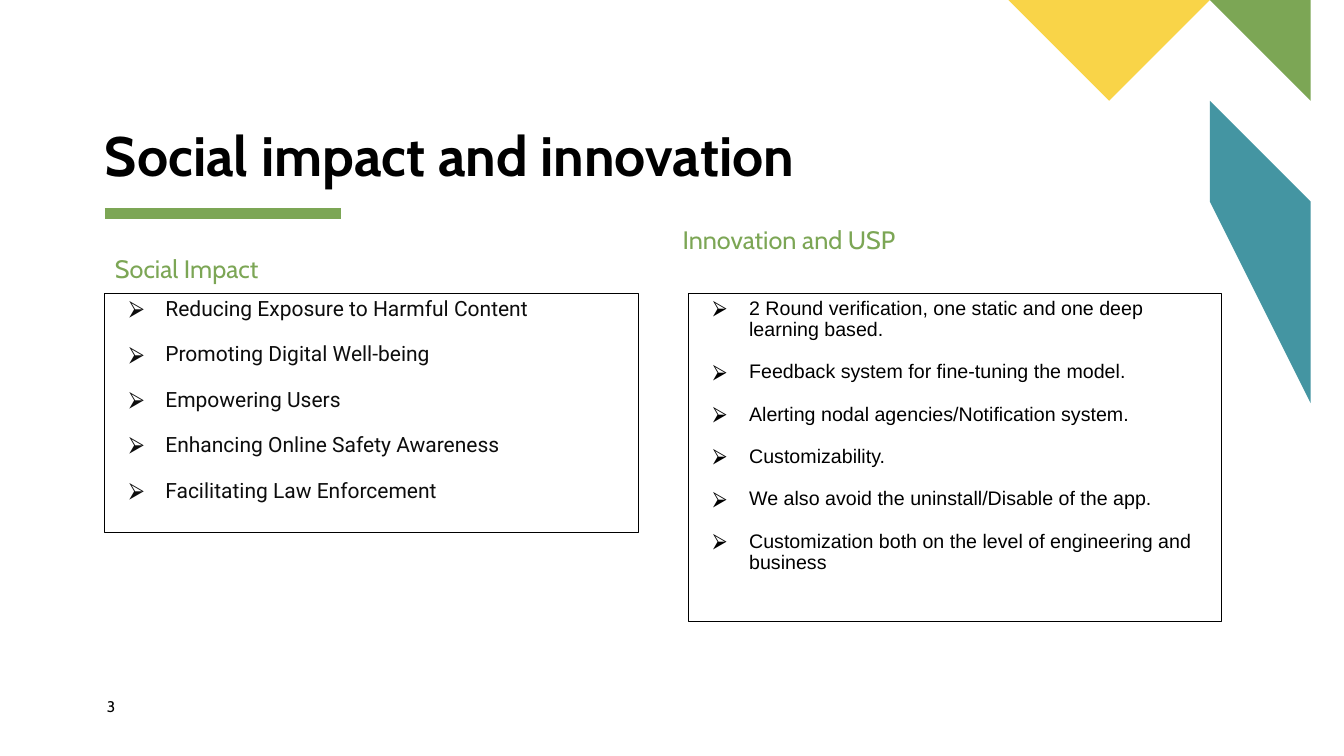
from lxml import etree
from pptx import Presentation
from pptx.dml.color import RGBColor
from pptx.enum.shapes import MSO_CONNECTOR
from pptx.enum.text import MSO_ANCHOR, MSO_AUTO_SIZE, PP_ALIGN
from pptx.oxml.ns import qn
from pptx.util import Inches, Pt

STRAIGHT = MSO_CONNECTOR.STRAIGHT
TOP, BOTTOM = MSO_ANCHOR.TOP, MSO_ANCHOR.BOTTOM
NO_AUTOFIT = MSO_AUTO_SIZE.NONE
LEFT = PP_ALIGN.LEFT

COLORS = {
    "black": "000000",
    "ink": "0D0D0D",
    "green": "7CA655",
    "teal": "4495A2",
    "yellow": "F9D448",
}
INSETS = (0.1, 0.05)


def color(name):
    return RGBColor.from_string(COLORS[name])


def write_text(shape, box, lines, font, size, color_name, bold=False,
               insets=INSETS, anchor=TOP, spacing=0.9, gap=0):
    """Place a text shape and format its paragraphs; gap is the space after each, in points."""
    shape.left, shape.top, shape.width, shape.height = (Inches(value) for value in box)
    frame = shape.text_frame
    frame.word_wrap = True
    frame.auto_size = NO_AUTOFIT
    frame.vertical_anchor = anchor
    frame.margin_left = frame.margin_right = Inches(insets[0])
    frame.margin_top = frame.margin_bottom = Inches(insets[1])
    frame.text = "\n".join(lines)
    for paragraph in frame.paragraphs:
        paragraph.alignment = LEFT
        paragraph.line_spacing = spacing
        paragraph.space_before = Pt(0)
        paragraph.space_after = Pt(gap)
        for run in paragraph.runs:
            run.font.name = font
            run.font.size = Pt(size)
            run.font.bold = bold
            run.font.color.rgb = color(color_name)


presentation = Presentation()
presentation.slide_width = Inches(13.33)
presentation.slide_height = Inches(7.5)
comparison_layout = presentation.slide_layouts[4]
slide = presentation.slides.add_slide(comparison_layout)
title, impact_heading, impact_list, innovation_heading, innovation_list = slide.placeholders

# Corner decoration
corner_shapes = [
    ("teal", [(13.33, 3.64), (13.33, 2.41), (12.12, 1.19), (11.5, 1.8)]),
    ("green", [(13.33, 1.19), (13.33, 0), (12.15, 0)]),
    ("yellow", [(9.7, 0), (10.89, 1.19), (12.09, 0)]),
]
for color_name, points in corner_shapes:
    builder = slide.shapes.build_freeform(*points[0], scale=Inches(1))
    builder.add_line_segments(points[1:], close=True)
    corner = builder.convert_to_shape()
    corner.shadow.inherit = False
    corner.fill.solid()
    corner.fill.fore_color.rgb = color(color_name)
    corner.line.fill.background()

# Title and its underline
write_text(title, (1.04, 1.2, 7.34, 0.67), ["Social impact and innovation"],
           "Cabin", 39.6, "black", bold=True, insets=(0, 0), anchor=BOTTOM)
underline = slide.shapes.add_connector(
    STRAIGHT, Inches(1.04), Inches(2.12), Inches(3.38), Inches(2.12))
underline.line.color.rgb = color("green")
underline.line.width = Pt(8)
etree.SubElement(underline.line._get_or_add_ln().getparent(), qn("a:effectLst"))

# Column headings
headings = [
    (impact_heading, (1.04, 2.5, 5.29, 0.35), "Social Impact"),
    (innovation_heading, (6.67, 2.21, 5.62, 0.35), "Innovation and USP"),
]
for heading, box, text in headings:
    write_text(heading, box, [text], "Cabin", 18, "green")

# Bulleted lists in outlined boxes
impact_points = [
    "Reducing Exposure to Harmful Content",
    "Promoting Digital Well-being",
    "Empowering Users",
    "Enhancing Online Safety Awareness",
    "Facilitating Law Enforcement",
]
innovation_points = [
    "2 Round verification, one static and one deep learning based.",
    "Feedback system for fine-tuning the model.",
    "Alerting nodal agencies/Notification system.",
    "Customizability.",
    "We also avoid the uninstall/Disable of the app.",
    "Customization both on the level of engineering and business",
]
lists = [
    (impact_list, (1.04, 2.91, 5.29, 2.37), impact_points, "Roboto", 15, "ink", 16.2),
    (innovation_list, (6.83, 2.91, 5.29, 3.26), innovation_points, "Arial", 14, "black", 15.1),
]
for list_box, box, points, font, size, color_name, gap in lists:
    write_text(list_box, box, points, font, size, color_name, gap=gap)
    list_box.line.color.rgb = color("black")
    list_box.line.width = Pt(0.75)
    for paragraph in list_box.text_frame.paragraphs:
        properties = paragraph._p.get_or_add_pPr()
        properties.set("marL", str(Inches(0.5)))
        properties.set("indent", str(Inches(-0.36)))
        bullet_color = etree.SubElement(properties, qn("a:buClr"))
        etree.SubElement(bullet_color, qn("a:srgbClr"), val=COLORS[color_name])
        etree.SubElement(properties, qn("a:buFont"), typeface="Arial")
        etree.SubElement(properties, qn("a:buChar"), char="⮚")

# Slide number
slide_number = slide.shapes.add_textbox(0, 0, 0, 0)
write_text(slide_number, (1.06, 6.92, 0.57, 0.27), ["3"], "Cabin", 11, "black",
           insets=(0, 0), spacing=1.0)

presentation.save("out.pptx")
